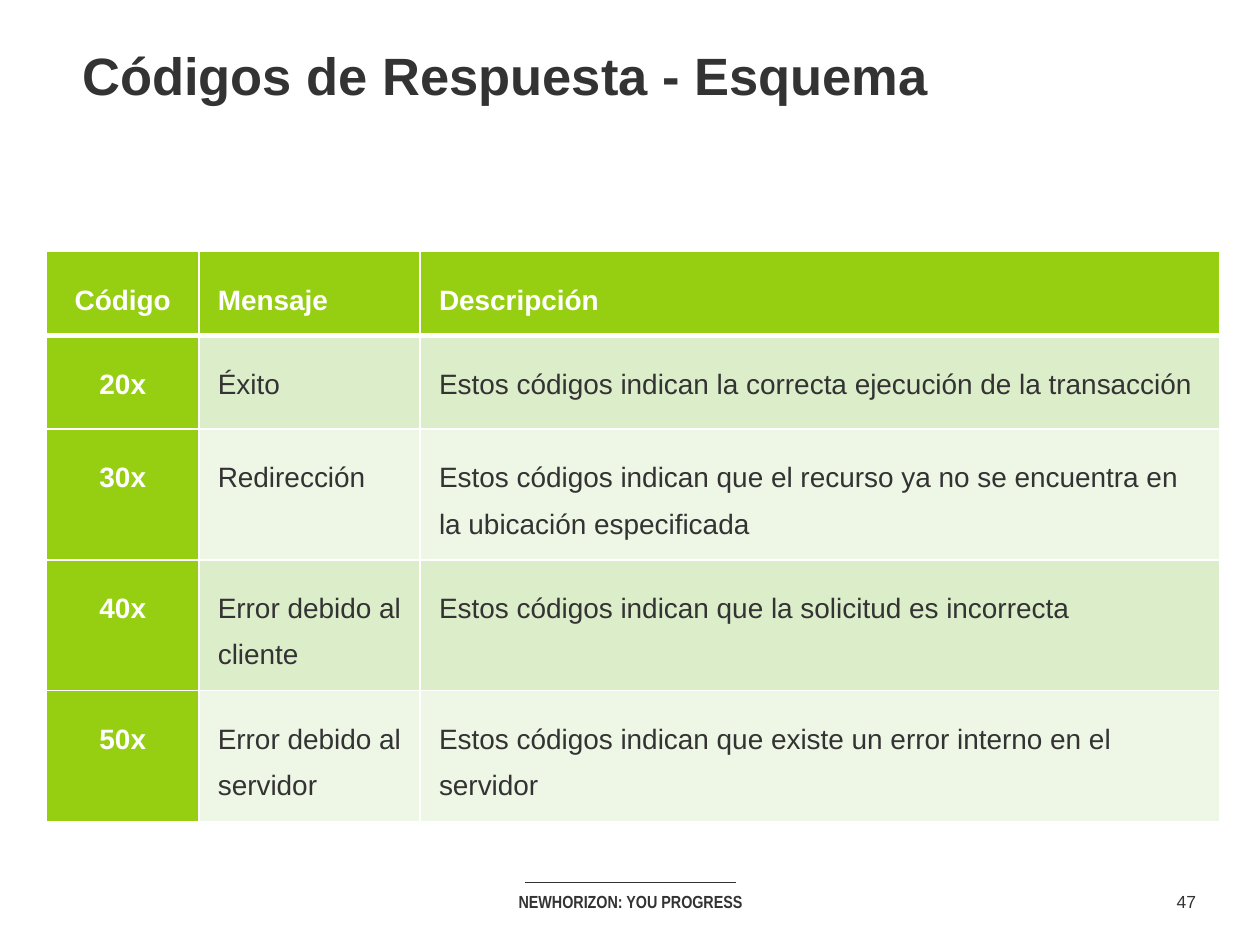
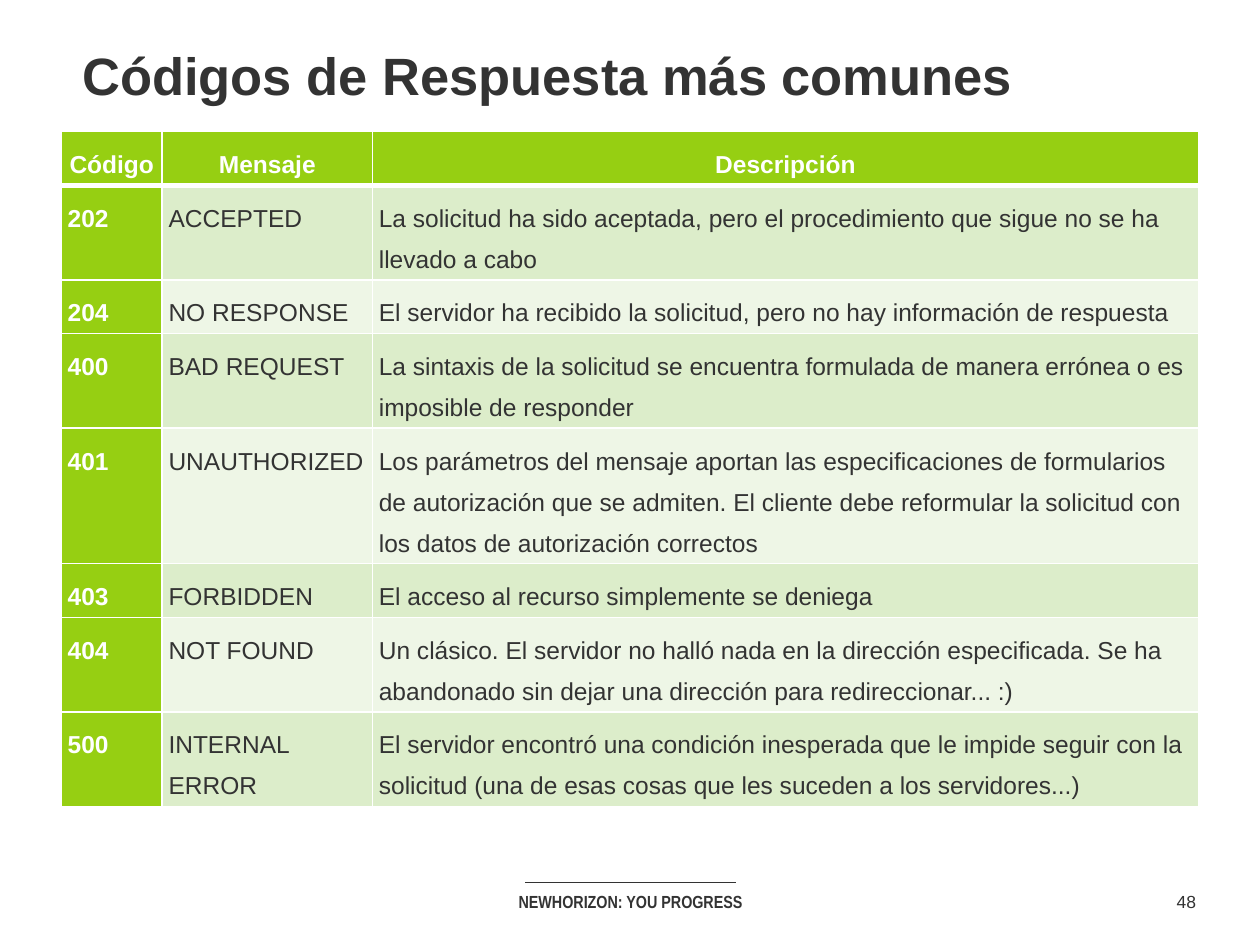
import lxml.etree
import pptx
import pptx.dml.color
import pptx.enum.shapes
import pptx.enum.text
import pptx.oxml.ns
import pptx.util

Pt = pptx.util.Pt
ALIGN = pptx.enum.text.PP_ALIGN
MIDDLE = pptx.enum.text.MSO_ANCHOR.MIDDLE

COLORS = {
    "ink": "333333",
    "white": "FFFFFF",
    "green": "96CF12",
    "band_dark": "DCEDCA",
    "band_light": "EEF6E6",
}
TITLE_BOX = (47.1, 20.9, 630, 43.9)
FOOTER_BOX = (264.2, 504.4, 192.2, 20.5)
NUMBER_BOX = (664.6, 505.4, 26.6, 19.4)
HEADINGS = ("Código", "Mensaje", "Descripción")

SCHEME_ROWS = [
    HEADINGS,
    ("20x", "Éxito", "Estos códigos indican la correcta ejecución de la transacción"),
    ("30x", "Redirección",
     "Estos códigos indican que el recurso ya no se encuentra en la ubicación especificada"),
    ("40x", "Error debido al cliente", "Estos códigos indican que la solicitud es incorrecta"),
    ("50x", "Error debido al servidor",
     "Estos códigos indican que existe un error interno en el servidor"),
]
COMMON_ROWS = [
    HEADINGS,
    ("202", "ACCEPTED",
     "La solicitud ha sido aceptada, pero el procedimiento que sigue no se ha llevado a cabo"),
    ("204", "NO RESPONSE",
     "El servidor ha recibido la solicitud, pero no hay información de respuesta"),
    ("400", "BAD REQUEST",
     "La sintaxis de la solicitud se encuentra formulada de manera errónea o es imposible de responder"),
    ("401", "UNAUTHORIZED",
     "Los parámetros del mensaje aportan las especificaciones de formularios de autorización "
     "que se admiten. El cliente debe reformular la solicitud con los datos de autorización correctos"),
    ("403", "FORBIDDEN", "El acceso al recurso simplemente se deniega"),
    ("404", "NOT FOUND",
     "Un clásico. El servidor no halló nada en la dirección especificada. "
     "Se ha abandonado sin dejar una dirección para redireccionar... :)"),
    ("500", "INTERNAL ERROR",
     "El servidor encontró una condición inesperada que le impide seguir con la solicitud "
     "(una de esas cosas que les suceden a los servidores...)"),
]


def rgb(name):
    """Return the named colour."""
    return pptx.dml.color.RGBColor.from_string(COLORS[name])


def write(para, text, size, color="ink", bold=False, font="Arial", align=ALIGN.LEFT):
    """Add one styled run to a paragraph."""
    para.alignment = align
    span = para.add_run()
    span.text = text
    span.font.size = Pt(size)
    span.font.name = font
    span.font.bold = bold
    span.font.color.rgb = rgb(color)


def add_text(page, box, text, size, inset=7.2, wrap=True, **style):
    """Place a one-paragraph text box, centred vertically."""
    frame = page.shapes.add_textbox(*map(Pt, box)).text_frame
    frame.word_wrap = wrap
    frame.vertical_anchor = MIDDLE
    frame.margin_left = frame.margin_right = Pt(inset)
    frame.margin_top = frame.margin_bottom = Pt(3.6)
    write(frame.paragraphs[0], text, size, **style)


def add_footer(page, box, number):
    """Place the footer name with its centred rule, and the page number."""
    left, top, width, height = box
    rule_width = 120.4
    start = left + (width - rule_width) / 2
    rule = page.shapes.add_connector(
        pptx.enum.shapes.MSO_CONNECTOR.STRAIGHT,
        Pt(start), Pt(top), Pt(start + rule_width), Pt(top))
    rule.line.color.rgb = rgb("ink")
    rule.line.width = Pt(0.75)
    lxml.etree.SubElement(rule._element.spPr, pptx.oxml.ns.qn("a:effectLst"))
    add_text(page, (left, top + 1, width, height - 1), "NEWHORIZON: YOU PROGRESS", 10,
             bold=True, font="Arial Narrow", align=ALIGN.CENTER)
    add_text(page, NUMBER_BOX, str(number), 10, wrap=False, align=ALIGN.CENTER)


def add_borders(cell, bottom):
    """Draw white borders round a cell, with the given bottom width."""
    qn = pptx.oxml.ns.qn
    properties = cell._tc.get_or_add_tcPr()
    for position, (side, width) in enumerate((("L", 1), ("R", 1), ("T", 1), ("B", bottom))):
        line = lxml.etree.Element(qn("a:ln" + side), w=str(Pt(width)))
        fill = lxml.etree.SubElement(line, qn("a:solidFill"))
        lxml.etree.SubElement(fill, qn("a:srgbClr"), val=COLORS["white"])
        properties.insert(position, line)


def add_code_table(page, origin, widths, heights, rows, size, pitch, inset, centered):
    """Place a code table; centered tells which (row, column) cells are centred."""
    frame = page.shapes.add_table(len(rows), len(widths), *map(Pt, origin),
                                  Pt(sum(widths)), Pt(sum(heights)))
    table = frame.table
    for column, width in zip(table.columns, widths):
        column.width = Pt(width)
    for row_index, (height, texts) in enumerate(zip(heights, rows)):
        table.rows[row_index].height = Pt(height)
        band = "band_dark" if row_index % 2 else "band_light"
        for column_index, text in enumerate(texts):
            cell = table.cell(row_index, column_index)
            heading = row_index == 0 or column_index == 0
            cell.fill.solid()
            cell.fill.fore_color.rgb = rgb("green" if heading else band)
            cell.margin_left = cell.margin_right = Pt(inset)
            cell.margin_top = cell.margin_bottom = Pt(inset)
            add_borders(cell, 3 if row_index == 0 else 1)
            para = cell.text_frame.paragraphs[0]
            para.line_spacing = Pt(pitch)
            write(para, text, size, color="white" if heading else "ink", bold=heading,
                  align=ALIGN.CENTER if centered(row_index, column_index) else ALIGN.LEFT)


def add_page(deck, title, number):
    """Add a page with its title and footer."""
    page = deck.slides.add_slide(deck.slide_layouts[6])
    add_text(page, TITLE_BOX, title, 30, inset=0, bold=True)
    add_footer(page, FOOTER_BOX, number)
    return page


def main():
    """Build and save the deck."""
    deck = pptx.Presentation()
    deck.slide_width, deck.slide_height = Pt(720), Pt(540)

    page = add_page(deck, "Códigos de Respuesta - Esquema", 47)
    add_code_table(page, (26.6, 143.6), (87.1, 126.4, 457.2), [47.9, 53.6] + [74.8] * 3,
                   SCHEME_ROWS, 16, 26.3, 10.8, lambda row, column: column == 0)

    page = add_page(deck, "Códigos de Respuesta más comunes", 48)
    pitch, inset = 23.4, 3.6
    line_counts = (1, 2, 1, 2, 3, 1, 2, 2)
    add_code_table(page, (35.1, 75.2), (57.6, 120.2, 472),
                   [2 * inset + pitch * count for count in line_counts],
                   COMMON_ROWS, 14, pitch, inset, lambda row, column: row == 0)

    deck.save("out.pptx")


if __name__ == "__main__":
    main()
